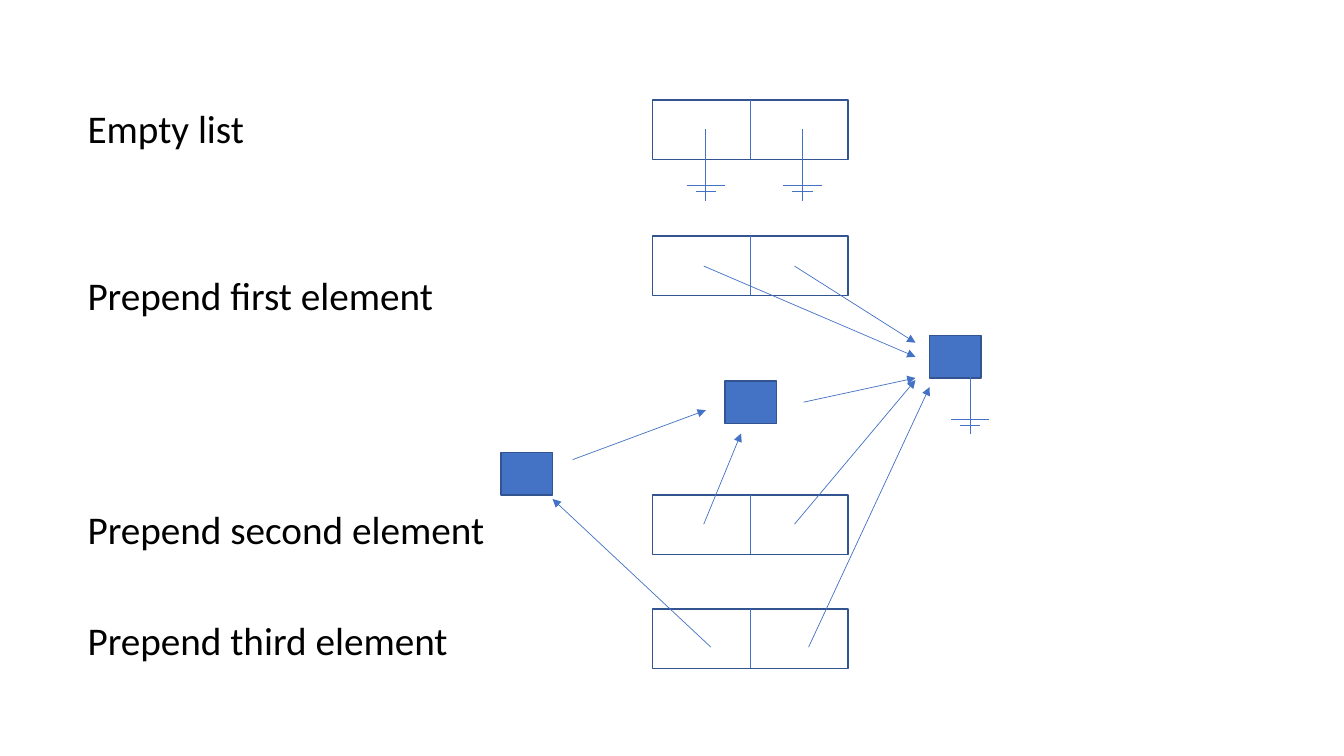
from lxml import etree
from pptx import Presentation
from pptx.dml.color import RGBColor
from pptx.enum import shapes, text
from pptx.oxml.ns import qn
from pptx.util import Inches, Pt

COLORS = {"accent": "4472C4", "outline": "325491", "text": "000000"}
LABEL_LEFT, LABEL_HEIGHT = 0.77, 0.57
HEADER_LEFT, HEADER_SIZE = 6.47, (1.94, 0.59)
NODE_SIZE = (0.51, 0.42)

# Node: left, top. Links: start x, start y, end x, end y. Grounds: x, top.
STEPS = [
    {"label": "Empty list", "label_box": (0.99, 1.77), "header_top": 0.99,
     "node": None, "links": [], "grounds": [(7, 1.28), (7.96, 1.28)]},
    {"label": "Prepend first element", "label_box": (2.64, 3.67), "header_top": 2.34,
     "node": (9.22, 3.33),
     "links": [(6.98, 2.64, 9.08, 3.54), (7.88, 2.64, 9.08, 3.4)],
     "grounds": [(9.62, 3.6)]},
    {"label": "Prepend second element", "label_box": (4.96, 4.18), "header_top": 4.91,
     "node": (7.19, 3.78),
     "links": [(7.97, 3.99, 9.08, 3.75), (6.98, 5.2, 7.35, 4.3),
               (7.88, 5.2, 9.08, 3.77)],
     "grounds": []},
    {"label": "Prepend third element", "label_box": (6.07, 3.81), "header_top": 6.04,
     "node": (4.97, 4.49),
     "links": [(5.68, 4.56, 7, 4.07), (7.05, 6.42, 5.48, 4.95),
               (8.02, 6.42, 9.22, 3.84)],
     "grounds": []},
]


def color(name):
    return RGBColor.from_string(COLORS[name])


def add_line(group, x1, y1, x2, y2, arrow=False):
    line = group.shapes.add_connector(
        shapes.MSO_CONNECTOR.STRAIGHT, *map(Inches, (x1, y1, x2, y2)))
    line.line.color.rgb = color("accent")
    line.line.width = Pt(0.5)
    if arrow:
        etree.SubElement(line.line._get_or_add_ln(), qn("a:tailEnd"), type="triangle")
    etree.SubElement(line._element.spPr, qn("a:effectLst"))


def add_box(group, left, top, size, filled=False):
    box = group.shapes.add_shape(
        shapes.MSO_SHAPE.RECTANGLE, *map(Inches, (left, top, *size)))
    box.shadow.inherit = False
    if filled:
        box.fill.solid()
        box.fill.fore_color.rgb = color("accent")
    else:
        box.fill.background()
    box.line.color.rgb = color("outline")
    box.line.width = Pt(1)


def add_header(group, left, top):
    """Draw the list header: one box split into a first and a last pointer."""
    width, height = HEADER_SIZE
    add_box(group, left, top, HEADER_SIZE)
    middle = left + width / 2
    add_line(group, middle, top, middle, top + height)


def add_ground(group, x, top):
    """Draw the ground symbol that stands for a null pointer."""
    add_line(group, x, top, x, top + 0.71)
    for half_width, drop in ((0.1, 0.62), (0.19, 0.56)):
        add_line(group, x - half_width, top + drop, x + half_width, top + drop)


def add_label(group, wording, top, width):
    label = group.shapes.add_textbox(
        *map(Inches, (LABEL_LEFT, top, width, LABEL_HEIGHT)))
    frame = label.text_frame
    frame.text = wording
    frame.word_wrap = False
    frame.auto_size = text.MSO_AUTO_SIZE.SHAPE_TO_FIT_TEXT
    font = frame.paragraphs[0].runs[0].font
    font.name = "Calibri"
    font.size = Pt(28)
    font.color.rgb = color("text")


def add_step(page, step):
    group = page.shapes.add_group_shape()
    add_label(group, step["label"], *step["label_box"])
    add_header(group, HEADER_LEFT, step["header_top"])
    if step["node"]:
        add_box(group, *step["node"], NODE_SIZE, filled=True)
    for link in step["links"]:
        add_line(group, *link, arrow=True)
    for ground in step["grounds"]:
        add_ground(group, *ground)


def main():
    deck = Presentation()
    deck.slide_width, deck.slide_height = Inches(13.33), Inches(7.5)
    page = deck.slides.add_slide(deck.slide_layouts[6])
    for step in STEPS:
        add_step(page, step)
    deck.save("out.pptx")


if __name__ == "__main__":
    main()
